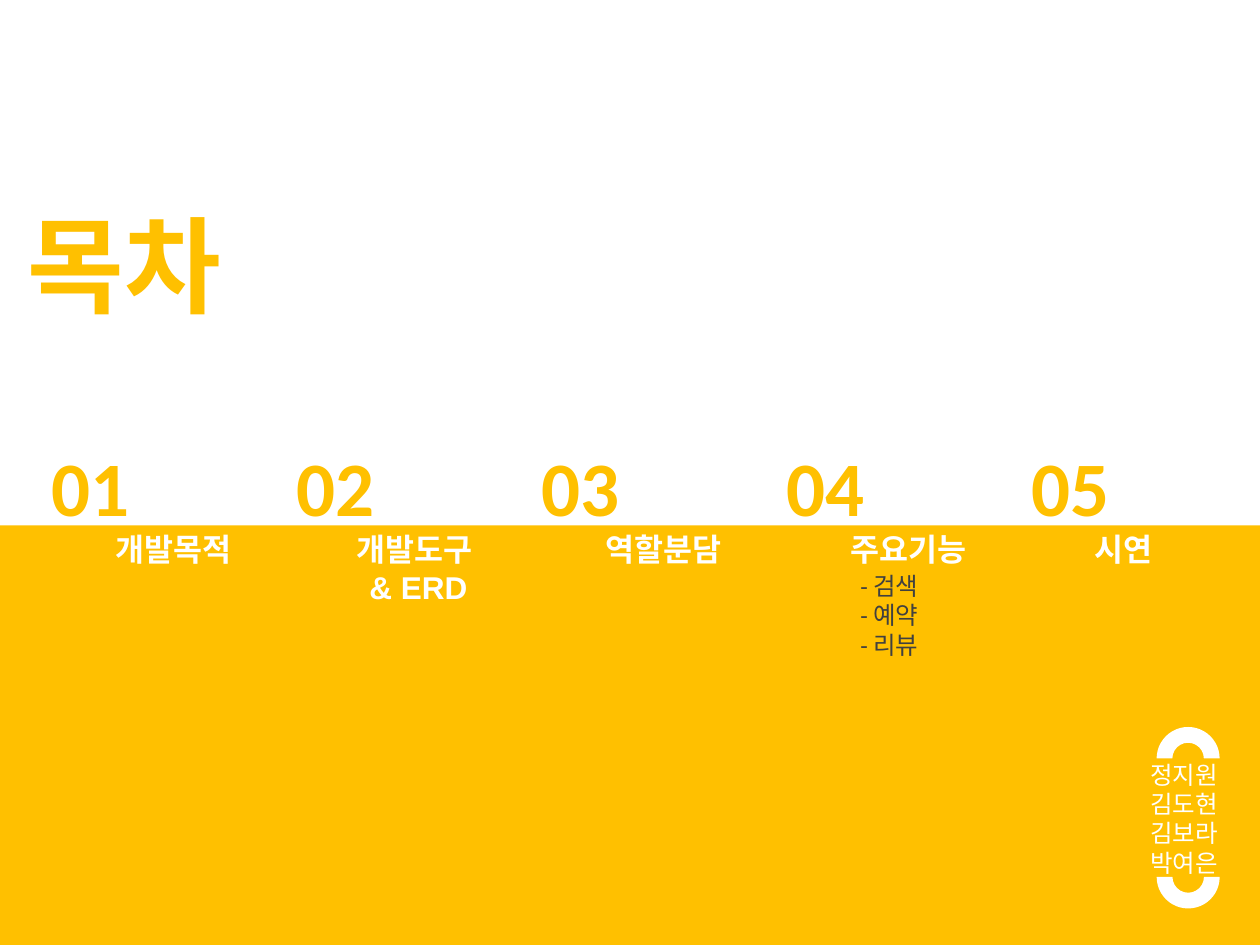
from pptx import Presentation
from pptx.dml.color import RGBColor
from pptx.enum.shapes import MSO_SHAPE
from pptx.enum.text import MSO_AUTO_SIZE, PP_ALIGN
from pptx.util import Inches, Pt

RECT = MSO_SHAPE.RECTANGLE
ARC = MSO_SHAPE.BLOCK_ARC
GROW = MSO_AUTO_SIZE.SHAPE_TO_FIT_TEXT
LEFT = PP_ALIGN.LEFT
CENTER = PP_ALIGN.CENTER

GOLD = RGBColor(0xFF, 0xC0, 0x00)
WHITE = RGBColor(0xFF, 0xFF, 0xFF)
GRAY = RGBColor(0x40, 0x40, 0x40)

TOPICS = [
    ("개발목적", 0.07),
    ("개발도구 \n& ERD", 0.07),
    ("역할분담", 0.07),
    ("주요기능", 0.07),
    ("시연", -0.17),
]
FIRST = 0.31
STEP = 1.945


class Deck:
    head = "Arial"
    body = "Calibri"

    def __init__(self, slide):
        self.slide = slide

    def shape(self, kind, box, color, turn=0):
        item = self.slide.shapes.add_shape(kind, *map(Inches, box))
        item.shadow.inherit = False
        item.fill.solid()
        item.fill.fore_color.rgb = color
        item.line.fill.background()
        item.rotation = turn

    def text(self, words, box, size, color, font, bold=False, align=LEFT):
        item = self.slide.shapes.add_textbox(*map(Inches, box))
        frame = item.text_frame
        frame.word_wrap = True
        frame.auto_size = GROW
        frame.text = words
        for para in frame.paragraphs:
            para.alignment = align
            for run in para.runs:
                run.font.name = font
                run.font.size = Pt(size)
                run.font.bold = bold
                run.font.color.rgb = color

    def title(self, words, box):
        self.text(words, box, 60, GOLD, self.head, True)

    def number(self, words, box):
        self.text(words, box, 44, GOLD, self.body, True)

    def label(self, words, box):
        self.text(words, box, 18, WHITE, self.head, True, CENTER)

    def items(self, words, box, color):
        self.text("\n".join(words), box, 14, color, self.body)


def main():
    prs = Presentation()
    prs.slide_width = Inches(10)
    prs.slide_height = Inches(7.5)
    deck = Deck(prs.slides.add_slide(prs.slide_layouts[6]))

    deck.shape(RECT, (0, 4.17, 10, 3.33), GOLD)
    deck.title("목차", (0.12, 1.54, 5.35, 1.11))

    for i, (name, shift) in enumerate(TOPICS):
        left = FIRST + i * STEP
        high = 0.71 if "\n" in name else 0.4
        deck.label(name, (left + shift, 4.16, 1.99, high))
        deck.number(f"{i + 1:02}", (left, 3.44, 1.45, 0.84))

    deck.items(["- 검색", "- 예약", "- 리뷰"], (6.73, 4.48, 1.34, 0.81), GRAY)

    for top, turn in ((5.77, 0), (6.71, 180)):
        deck.shape(ARC, (9.18, top, 0.5, 0.5), WHITE, turn)
    team = ["정지원", "김도현", "김보라", "박여은"]
    deck.items(team, (9.03, 5.98, 1.1, 1.04), WHITE)

    prs.save("out.pptx")


if __name__ == "__main__":
    main()
